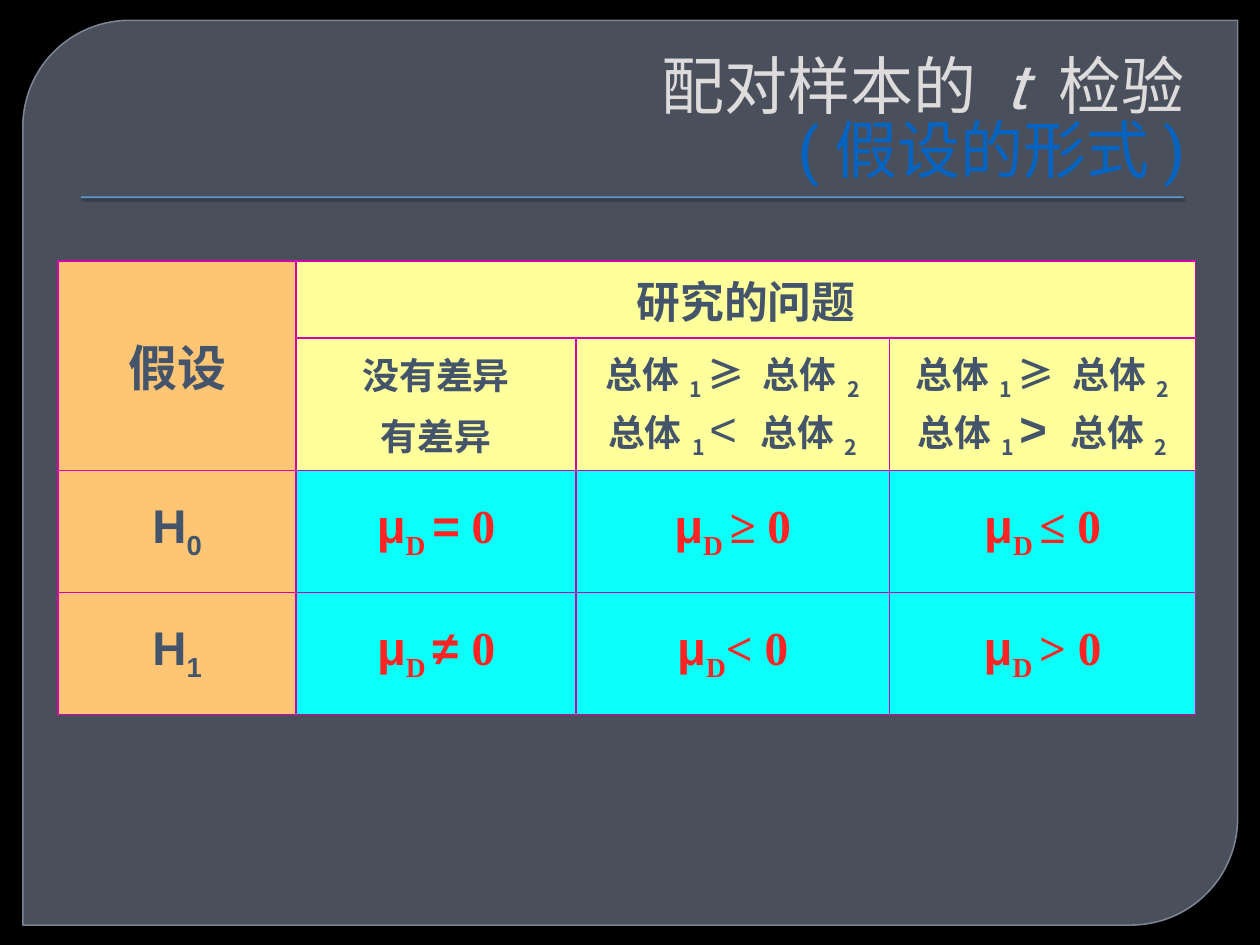
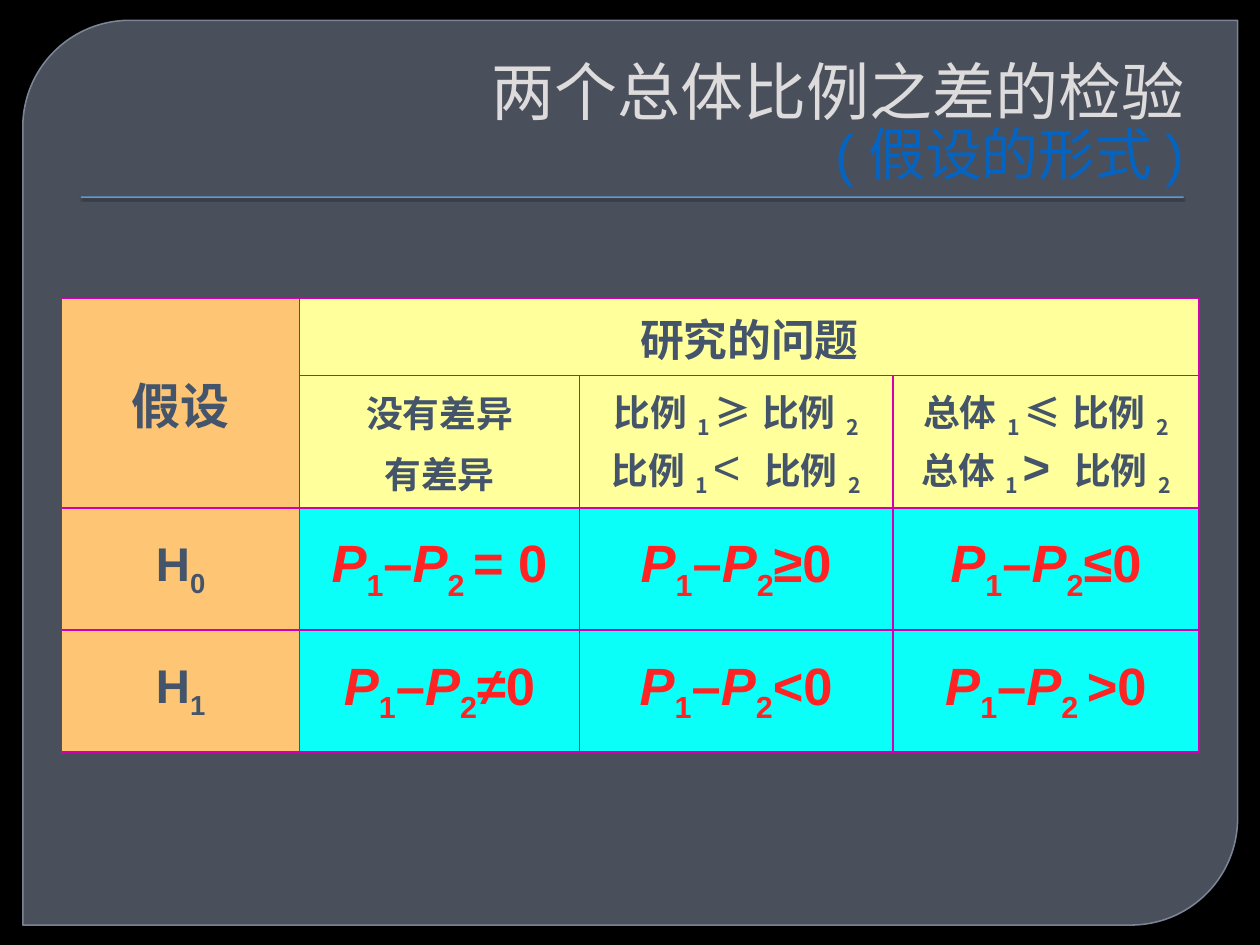
from lxml import etree
from pptx import Presentation, util as u
from pptx.dml.color import RGBColor
from pptx.enum import shapes, text
from pptx.oxml.ns import qn

SANS, CJK, SLAB, SERIF = "Arial", "Noto Sans CJK SC", "Roboto Slab", "Times New Roman"
INK, RED, LIGHT, LINK = "44546A", "FF2323", "DDDBDB", "0563C1"
ORANGE, YELLOW, CYAN, MAGENTA = "FEC674", "FFFF9B", "0BFFF9", "D200AF"
COLS = (4.8, 5.64, 6.32, 6.17)
ROWS = (1.55, 2.67, 2.46, 2.46)


def rgb(code):
    """Return the colour for a hex string."""
    return RGBColor.from_string(code)


def fmt(name, size, color, **more):
    """Return a dict of run format values."""
    return dict(name=name, size=u.Pt(size), color=color, **more)


def sub(style):
    """Return the style lowered to a subscript."""
    return dict(style, sub=True)


HEAD = fmt(SANS, 28, INK, bold=True)
QUESTION = fmt(CJK, 25, INK, bold=True)
CASE = fmt(CJK, 21, INK, bold=True)
LABEL = fmt(SANS, 27, INK, bold=True)
MU = fmt(SANS, 27, RED, bold=True)
MU_SERIF = fmt(SERIF, 27, RED, bold=True)
DIFF = fmt(SANS, 30, RED, bold=True)


def add_runs(p, runs):
    """Add (text, style) runs to a paragraph; a newline is a line break."""
    for content, style in runs:
        for i, part in enumerate(content.split("\n")):
            if i:
                p.add_line_break()
            if not part:
                continue
            r = p.add_run()
            r.text = part
            for key, value in style.items():
                if key == "color":
                    r.font.color.rgb = rgb(value)
                elif key != "sub":
                    setattr(r.font, key, value)
            rPr = r._r.get_or_add_rPr()
            etree.SubElement(rPr, qn("a:ea")).set("typeface", CJK)
            if style.get("sub"):
                rPr.set("baseline", "-25000")


def set_alpha(sp, *levels):
    """Set the opacity of the fill, then of the line."""
    for clr, level in zip(sp._element.spPr.iter(qn("a:srgbClr")), levels):
        etree.SubElement(clr, qn("a:alpha")).set("val", str(level * 1000))


def add_shadow(sp):
    """Give a shape a small soft shadow below it."""
    effects = sp._element.spPr.find(qn("a:effectLst"))
    shadow = etree.SubElement(effects, qn("a:outerShdw"), blurRad="12700", dist="12700", dir="5400000")
    clr = etree.SubElement(shadow, qn("a:srgbClr"), val="000000")
    etree.SubElement(clr, qn("a:alpha"), val="75000")


def build_master(prs, slide):
    """Put the background, panel and title rule on the slide master."""
    master = prs.slide_master
    fill = master.background.fill
    fill.solid()
    fill.fore_color.rgb = rgb("000000")
    kinds = shapes.MSO_SHAPE
    panel = slide.shapes.add_shape(kinds.ROUND_2_DIAG_RECTANGLE, *map(u.Cm, (0.46, 0.41, 24.49, 18.24)))
    panel.adjustments[0], panel.adjustments[1] = 0.118, 0
    rule = slide.shapes.add_shape(kinds.RECTANGLE, *map(u.Cm, (1.63, 3.96, 22.23, 0.03)))
    for sp, color in ((panel, "727C8D"), (rule, "5B9BD5")):
        sp.shadow.inherit = False
        sp.fill.solid()
        sp.fill.fore_color.rgb = rgb(color)
    panel.line.color.rgb = rgb("8791A2")
    panel.line.width = u.Pt(0.87)
    rule.line.fill.background()
    set_alpha(panel, 65, 88)
    add_shadow(rule)
    for sp in (panel, rule):
        master.shapes._spTree.append(sp._element)


def fill_title(slide, runs):
    """Place and fill the right-aligned title."""
    sp = slide.shapes.title
    sp.left, sp.top, sp.width, sp.height = map(u.Cm, (1.27, 0.71, 22.86, 3.18))
    tf = sp.text_frame
    for key, value in dict(word_wrap=True, auto_size=text.MSO_AUTO_SIZE.NONE,
                           vertical_anchor=text.MSO_ANCHOR.BOTTOM).items():
        setattr(tf, key, value)
    p = tf.paragraphs[0]
    p.alignment = text.PP_ALIGN.RIGHT
    p.line_spacing = 0.85
    add_runs(p, runs)


def border_cell(cell):
    """Draw thin magenta lines on all sides of a cell."""
    tcPr = cell._tc.get_or_add_tcPr()
    for i, side in enumerate(("lnL", "lnR", "lnT", "lnB")):
        ln = etree.Element(qn("a:" + side), w="12700")
        solid = etree.SubElement(ln, qn("a:solidFill"))
        etree.SubElement(solid, qn("a:srgbClr"), val=MAGENTA)
        tcPr.insert(i, ln)


def fill_cell(cell, lines):
    """Write centred lines of runs into a cell."""
    cell.vertical_anchor = text.MSO_ANCHOR.MIDDLE
    tf = cell.text_frame
    for i, runs in enumerate(lines):
        p = tf.add_paragraph() if i else tf.paragraphs[0]
        p.alignment = text.PP_ALIGN.CENTER
        if i and len(runs) == 1:
            p.space_before = u.Pt(4.2)
        add_runs(p, runs)


def compare(first, null, second, rival, word):
    """Return the two lines that compare one group with another."""
    start, end = [(first, CASE), ("1 ", sub(CASE))], ("2", sub(CASE))
    sign = dict(LABEL, bold=rival != "<")
    return [start + [(null + second, CASE), end],
            start + [(rival + " ", sign), (word, CASE), end]]


def mean(index, *relation):
    """Return a line about the mean difference."""
    return [[("μ", MU), (index, sub(MU_SERIF)), *relation]]


def proportion(relation, index="2"):
    """Return a line about the difference of two proportions."""
    italic = dict(DIFF, italic=True)
    return [[("P", italic), ("1", sub(DIFF)), ("–", DIFF),
             ("P", italic), (index, sub(DIFF)), (relation, DIFF)]]


def build_table(slide, left, top, cases, nulls, rivals):
    """Add the table of hypotheses with its top left corner at the point."""
    frame = slide.shapes.add_table(len(ROWS), len(COLS), u.Cm(left), u.Cm(top),
                                   u.Cm(sum(COLS)), u.Cm(sum(ROWS)))
    table = frame.table
    table.first_row = table.horz_banding = False
    for col, width in zip(table.columns, COLS):
        col.width = u.Cm(width)
    for row, height in zip(table.rows, ROWS):
        row.height = u.Cm(height)
    for r in range(len(ROWS)):
        for c in range(len(COLS)):
            cell = table.cell(r, c)
            cell.fill.solid()
            cell.fill.fore_color.rgb = rgb(ORANGE if c == 0 else YELLOW if r < 2 else CYAN)
            border_cell(cell)
    table.cell(0, 0).merge(table.cell(1, 0))
    table.cell(0, 1).merge(table.cell(0, 3))
    fill_cell(table.cell(0, 0), [[("假设", HEAD)]])
    fill_cell(table.cell(0, 1), [[("研究的问题", QUESTION)]])
    no_difference = [[("没有差异", CASE)], [("有差异", CASE)]]
    labels = [[[("H", LABEL), (n, sub(LABEL))]] for n in "01"]
    grid = [[no_difference, *cases], [labels[0], *nulls], [labels[1], *rivals]]
    for r, row in enumerate(grid, 1):
        for c, lines in enumerate(row, 4 - len(row)):
            fill_cell(table.cell(r, c), lines)


def paired_slide(slide):
    """Build the slide on the paired t test."""
    slab = fmt(SLAB, 36, LIGHT)
    link = dict(slab, color=LINK)
    fill_title(slide, [("配对样本的 ", slab), ("t ", dict(slab, italic=True)), ("检验\n ", slab),
                       ("(", link), ("假设的形式", dict(link, name=SANS)), (")", link)])
    build_table(
        slide, 1.17, 5.26,
        [compare("总体", "≥ ", "总体", rival, "总体") for rival in "<>"],
        [mean("D ", ("=", MU), (" 0", MU_SERIF)),
         mean("D ", ("≥ 0", MU_SERIF)), mean("D ", ("≤ 0", MU_SERIF))],
        [mean("D ", ("≠ ", MU), ("0", MU_SERIF)),
         mean("D", ("< 0", MU_SERIF)), mean("D ", ("> 0", MU_SERIF))])


def proportion_slide(slide):
    """Build the slide on the difference of two proportions."""
    fill_title(slide, [("两个总体比例之差的检验\n", fmt(SANS, 36, LIGHT)),
                       ("(假设的形式)", fmt(SANS, 32.4, LINK))])
    build_table(
        slide, 1.24, 6.02,
        [compare("比例", "≥", "比例", "<", "比例"), compare("总体", "≤", "比例", ">", "比例")],
        [proportion("= 0", "2 "), proportion("≥0"), proportion("≤0")],
        [proportion("≠0"), proportion("<0"), proportion(">0", "2 ")])


def main():
    """Build and save the two slides."""
    prs = Presentation()
    prs.slide_width, prs.slide_height = u.Cm(25.4), u.Cm(19.05)
    paired, proportions = (prs.slides.add_slide(prs.slide_layouts[5]) for _ in range(2))
    build_master(prs, paired)
    paired_slide(paired)
    proportion_slide(proportions)
    prs.save("out.pptx")


if __name__ == "__main__":
    main()
